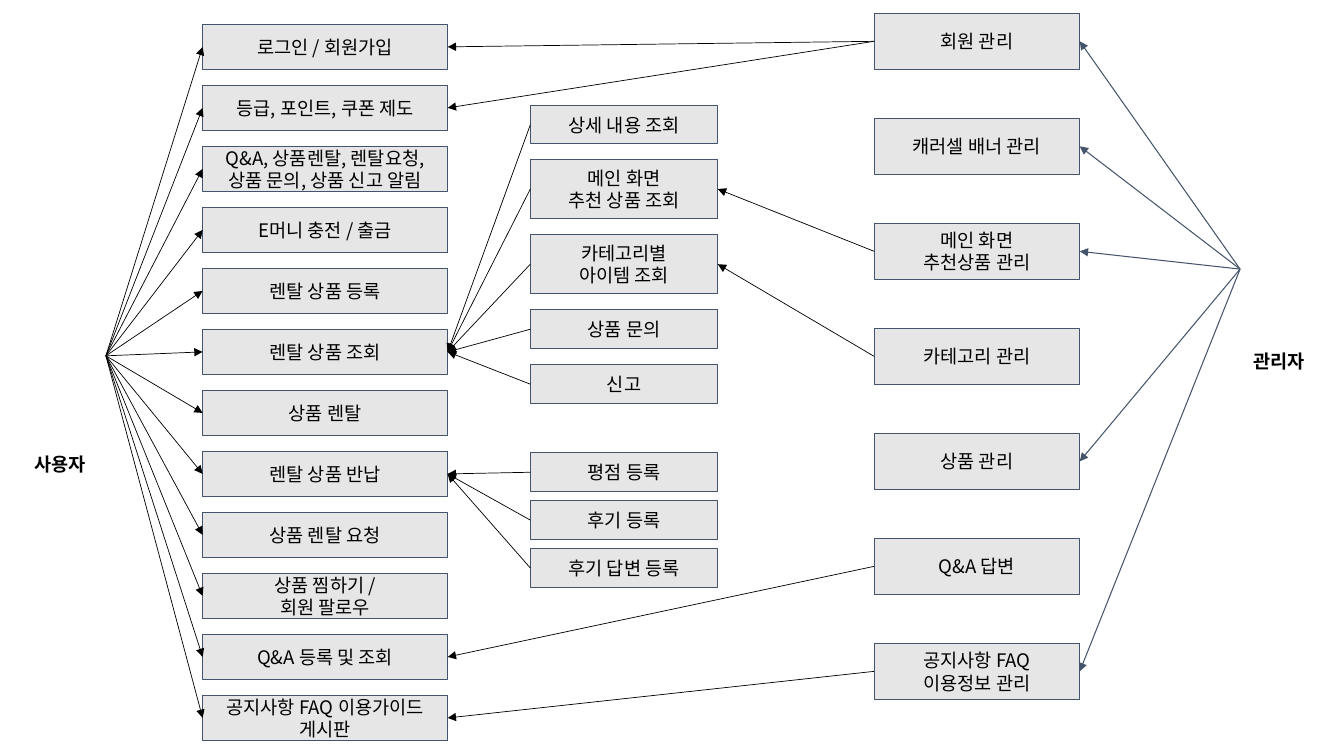
"""Draw the feature map that links a rental service's users and managers."""
from dataclasses import dataclass
from typing import Optional

from lxml.etree import SubElement
from pptx import Presentation
from pptx.dml.color import RGBColor
from pptx.enum.shapes import MSO_CONNECTOR, MSO_SHAPE
from pptx.enum.text import MSO_ANCHOR, PP_ALIGN
from pptx.oxml.ns import qn
from pptx.shapes.autoshape import Shape
from pptx.shapes.connector import Connector
from pptx.text.text import TextFrame
from pptx.util import Inches, Pt

LEFT, RIGHT = 1, 3


@dataclass(frozen=True)
class Pen:
    color: RGBColor
    width: float


@dataclass(frozen=True)
class Theme:
    font: str = "Noto Sans CJK KR"
    size: float = 13.3
    inset: float = 0.13
    text: RGBColor = RGBColor(0, 0, 0)
    fill: RGBColor = RGBColor(0xE7, 0xE6, 0xE6)
    edge: Pen = Pen(RGBColor(0x44, 0x54, 0x6A), 0.75)
    thin: Pen = Pen(RGBColor(0, 0, 0), 0.5)


@dataclass(frozen=True)
class Item:
    text: str
    height: Optional[float] = None


@dataclass(frozen=True)
class Stack:
    left: float
    top: float
    width: float
    height: float
    gap: float
    items: tuple[Item, ...]


@dataclass(frozen=True)
class Label:
    text: str
    left: float
    top: float
    width: float
    height: float
    align: PP_ALIGN


@dataclass(frozen=True)
class Hub:
    x: float
    y: float
    site: int
    pen: Pen
    ends: list[Shape]


theme = Theme()
deck = Presentation()
deck.slide_width, deck.slide_height = Inches(13.33), Inches(7.5)
slide = deck.slides.add_slide(deck.slide_layouts[6])


def across(share: float) -> int:
    """Turn a percentage of the slide's width into a length."""
    return round(deck.slide_width * share / 100)


def down(share: float) -> int:
    """Turn a percentage of the slide's height into a length."""
    return round(deck.slide_height * share / 100)


def write(frame: TextFrame, text: str, align: PP_ALIGN, bold: bool = False) -> None:
    """Fill a text frame with one paragraph per line."""
    frame.word_wrap = True
    frame.margin_left = frame.margin_right = Inches(theme.inset)
    frame.margin_top = frame.margin_bottom = Inches(theme.inset)
    for row, line in enumerate(text.split("\n")):
        para = frame.add_paragraph() if row else frame.paragraphs[0]
        para.alignment = align
        run = para.add_run()
        run.text = line
        font = run.font
        font.name, font.size, font.bold = theme.font, Pt(theme.size), bold
        font.color.rgb = theme.text
        SubElement(run._r.get_or_add_rPr(), qn("a:ea"), typeface=theme.font)


def pile(stack: Stack) -> list[Shape]:
    """Draw a stack of boxes from the top down."""
    boxes, top = [], stack.top
    for item in stack.items:
        height = item.height or stack.height
        box = slide.shapes.add_shape(
            MSO_SHAPE.RECTANGLE, across(stack.left), down(top),
            across(stack.width), down(height))
        box.shadow.inherit = False
        box.fill.solid()
        box.fill.fore_color.rgb = theme.fill
        box.line.color.rgb = theme.edge.color
        box.line.width = Pt(theme.edge.width)
        box.text_frame.vertical_anchor = MSO_ANCHOR.MIDDLE
        write(box.text_frame, item.text, PP_ALIGN.CENTER)
        boxes.append(box)
        top += height + stack.gap
    return boxes


def arrow(x: int, y: int, goal: Shape, site: int, pen: Pen) -> Connector:
    """Draw an arrow from a point to one side of a box."""
    link = slide.shapes.add_connector(MSO_CONNECTOR.STRAIGHT, x, y, x, y)
    link.end_connect(goal, site)
    link.line.color.rgb = pen.color
    link.line.width = Pt(pen.width)
    props = link._element.spPr
    SubElement(props.find(qn("a:ln")), qn("a:tailEnd"), type="triangle")
    SubElement(props, qn("a:effectLst"))
    return link


def join(start: Shape, goal: Shape) -> None:
    """Link the left side of one box to the right side of another."""
    link = arrow(start.left, start.top + start.height // 2, goal, RIGHT, theme.thin)
    link.begin_connect(start, LEFT)


def fan(hub: Hub) -> None:
    """Spread arrows from a hub to its boxes."""
    for goal in hub.ends:
        arrow(across(hub.x), down(hub.y), goal, hub.site, hub.pen)


def name(label: Label) -> None:
    """Write the bold name of a role."""
    box = slide.shapes.add_textbox(across(label.left), down(label.top),
                                   across(label.width), down(label.height))
    write(box.text_frame, label.text, label.align, bold=True)


user = pile(Stack(15.08, 3.2, 18.23, 6, 2.07, (
    Item("로그인 / 회원가입"), Item("등급, 포인트, 쿠폰 제도"),
    Item("Q&A, 상품렌탈, 렌탈요청, 상품 문의, 상품 신고 알림"),
    Item("E머니 충전 / 출금"), Item("렌탈 상품 등록"), Item("렌탈 상품 조회"),
    Item("상품 렌탈"), Item("렌탈 상품 반납"), Item("상품 렌탈 요청"),
    Item("상품 찜하기 /\n회원 팔로우"), Item("Q&A 등록 및 조회"),
    Item("공지사항 FAQ 이용가이드 게시판"))))
views = pile(Stack(39.46, 14, 13.95, 5.2, 2.07, (
    Item("상세 내용 조회", 5), Item("메인 화면\n추천 상품 조회", 7.87),
    Item("카테고리별\n아이템 조회", 7.87), Item("상품 문의"), Item("신고"))))
notes = pile(Stack(39.46, 59.87, 13.95, 5.2, 1.13, (
    Item("평점 등록"), Item("후기 등록"), Item("후기 답변 등록"))))
admin = pile(Stack(65.04, 1.73, 15.3, 7.47, 6.42, (
    Item("회원 관리"), Item("캐러셀 배너 관리"), Item("메인 화면\n추천상품 관리"),
    Item("카테고리 관리"), Item("상품 관리"), Item("Q&A 답변"),
    Item("공지사항 FAQ 이용정보 관리"))))

fan(Hub(7.88, 47.07, LEFT, theme.thin, user))
fan(Hub(92.27, 35.6, RIGHT, theme.edge, [admin[row] for row in (0, 1, 2, 4, 6)]))
for view in views:
    join(view, user[5])
for note in notes:
    join(note, user[7])
for start, goal in ((0, user[0]), (0, user[1]), (2, views[1]),
                    (3, views[2]), (5, user[10]), (6, user[11])):
    join(admin[start], goal)

name(Label("사용자", 1.58, 58.4, 6.75, 5.87, PP_ALIGN.LEFT))
name(Label("관리자", 90.4, 44.8, 9.6, 4.8, PP_ALIGN.CENTER))
deck.save("out.pptx")
